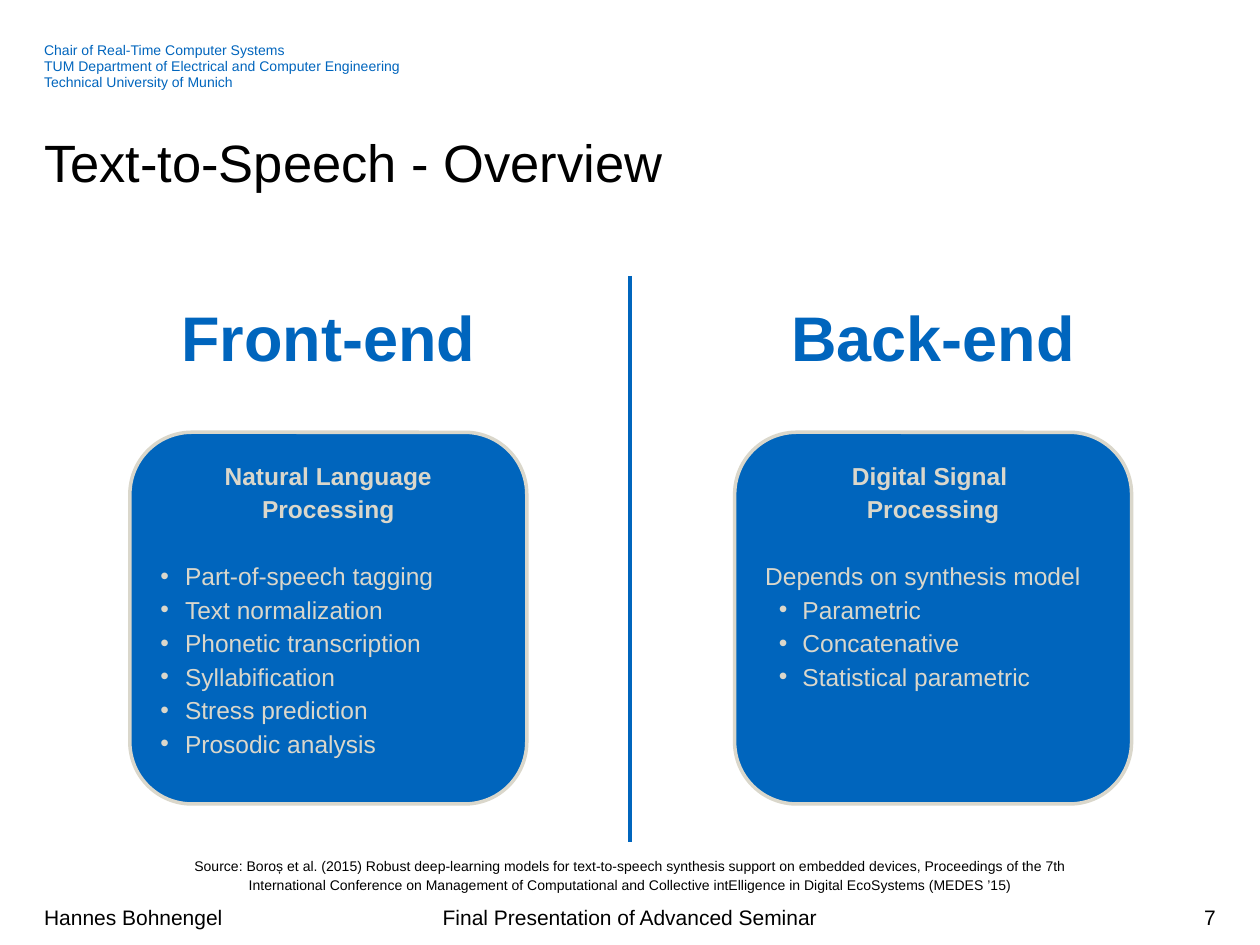
"""Builds the text-to-speech overview slide with its front-end and back-end cards."""
from lxml.etree import SubElement
from pptx import Presentation
from pptx.dml.color import RGBColor
from pptx.enum.shapes import MSO_CONNECTOR, MSO_SHAPE
from pptx.enum.text import MSO_ANCHOR, MSO_AUTO_SIZE, PP_ALIGN
from pptx.oxml.ns import qn
from pptx.util import Pt

BLUE, SAND, BLACK = "0065BD", "DAD7CB", "000000"
LEFT, CENTER, RIGHT = PP_ALIGN.LEFT, PP_ALIGN.CENTER, PP_ALIGN.RIGHT


def color(value):
    return RGBColor.from_string(value)


class SlideBuilder:
    font = "Arial"
    loose = 1.14

    def __init__(self, slide):
        self.slide = slide

    def add_line(self, frame, text, size, ink, align=LEFT, bold=False, spacing=1.0, before=0):
        first = frame.paragraphs[0]
        paragraph = frame.add_paragraph() if first.runs else first
        paragraph.alignment = align
        paragraph.line_spacing = spacing
        paragraph.space_before = Pt(before)
        run = paragraph.add_run()
        run.text = text
        run.font.name = self.font
        run.font.size = Pt(size)
        run.font.bold = bold
        run.font.color.rgb = color(ink)
        return paragraph

    def bullet(self, paragraph, margin, hang):
        properties = paragraph._p.get_or_add_pPr()
        properties.set("marL", str(Pt(margin)))
        properties.set("indent", str(-Pt(hang)))
        SubElement(properties, qn("a:buFont"), typeface=self.font)
        SubElement(properties, qn("a:buChar"), char="•")

    def plain_frame(self, frame, anchor=MSO_ANCHOR.TOP):
        frame.word_wrap = True
        frame.auto_size = MSO_AUTO_SIZE.NONE
        frame.vertical_anchor = anchor
        frame.margin_left = frame.margin_right = 0
        frame.margin_top = frame.margin_bottom = 0

    def title(self, text, left, top, width, height):
        title = self.slide.shapes.title
        title.left, title.top, title.width, title.height = map(Pt, (left, top, width, height))
        self.plain_frame(title.text_frame)
        self.add_line(title.text_frame, text, 30, BLACK, spacing=Pt(32))

    def text(self, lines, left, top, width, height, size, ink,
             anchor=MSO_ANCHOR.TOP, **style):
        box = self.slide.shapes.add_textbox(*map(Pt, (left, top, width, height)))
        self.plain_frame(box.text_frame, anchor)
        for line in lines:
            self.add_line(box.text_frame, line, size, ink, **style)

    def card(self, left, top, width, height, heading, intro, items, margin, hang, level):
        card = self.slide.shapes.add_shape(
            MSO_SHAPE.ROUNDED_RECTANGLE, *map(Pt, (left, top, width, height)))
        card.shadow.inherit = False
        card.fill.solid()
        card.fill.fore_color.rgb = color(BLUE)
        card.line.color.rgb = color(SAND)
        card.line.width = Pt(2)
        frame = card.text_frame
        frame.word_wrap = True
        frame.vertical_anchor = MSO_ANCHOR.TOP
        for line in heading:
            self.add_line(frame, line, 14, SAND, CENTER, True, self.loose)
        gap = 19
        for line in intro:
            self.add_line(frame, line, 14, SAND, spacing=self.loose, before=gap)
            gap = 0
        for item in items:
            paragraph = self.add_line(frame, item, 14, SAND, spacing=self.loose, before=gap)
            paragraph.level = level
            self.bullet(paragraph, margin, hang)
            gap = 0

    def divider(self, x, top, bottom):
        line = self.slide.shapes.add_connector(
            MSO_CONNECTOR.STRAIGHT, *map(Pt, (x, top, x, bottom)))
        line.line.color.rgb = color(BLUE)
        line.line.width = Pt(2.25)
        SubElement(line._element.spPr, qn("a:effectLst"))


def main():
    deck = Presentation()
    deck.slide_width, deck.slide_height = Pt(720), Pt(540)
    builder = SlideBuilder(deck.slides.add_slide(deck.slide_layouts[5]))

    builder.text(["Chair of Real-Time Computer Systems",
                  "TUM Department of Electrical and Computer Engineering",
                  "Technical University of Munich"],
                 25.2, 24.5, 606, 27.4, 8, BLUE, spacing=0.94)
    builder.title("Text-to-Speech - Overview", 25.2, 78.5, 670, 32.4)

    footers = [("Hannes Bohnengel", 25.2, 114.5, LEFT),
               ("Final Presentation of Advanced Seminar", 240, 240, CENTER),
               ("7", 533.5, 161.3, RIGHT)]
    for footer, left, width, align in footers:
        builder.text([footer], left, 509.8, width, 28.8, 12, BLACK,
                     MSO_ANCHOR.MIDDLE, align=align)

    stages = [
        ("Front-end", 74.2, ["Natural Language Processing"], [],
         ["Part-of-speech tagging", "Text normalization", "Phonetic transcription",
          "Syllabification", "Stress prediction", "Prosodic analysis"], 14.1, 14.1, 0),
        ("Back-end", 419.8, ["Digital Signal ", "Processing"], ["Depends on synthesis model"],
         ["Parametric", "Concatenative", "Statistical parametric"], 21.3, 13.5, 1),
    ]
    card_width = 226.8
    for stage, left, *content in stages:
        builder.card(left, 247, card_width, 212.4, *content)
        builder.text([stage], left, 170.6, card_width, 44, 36, BLUE, align=CENTER, bold=True)
    builder.divider(360, 157.7, 481)

    builder.text(
        ["Source: Boroș et al. (2015) Robust deep-learning models for text-to-speech synthesis "
         "support on embedded devices, Proceedings of the 7th",
         "International Conference on Management of Computational and Collective intElligence "
         "in Digital EcoSystems (MEDES ’15)"],
        74.2, 488.9, 572.4, 33, 8, BLACK, align=CENTER, spacing=SlideBuilder.loose)
    deck.save("out.pptx")


if __name__ == "__main__":
    main()
